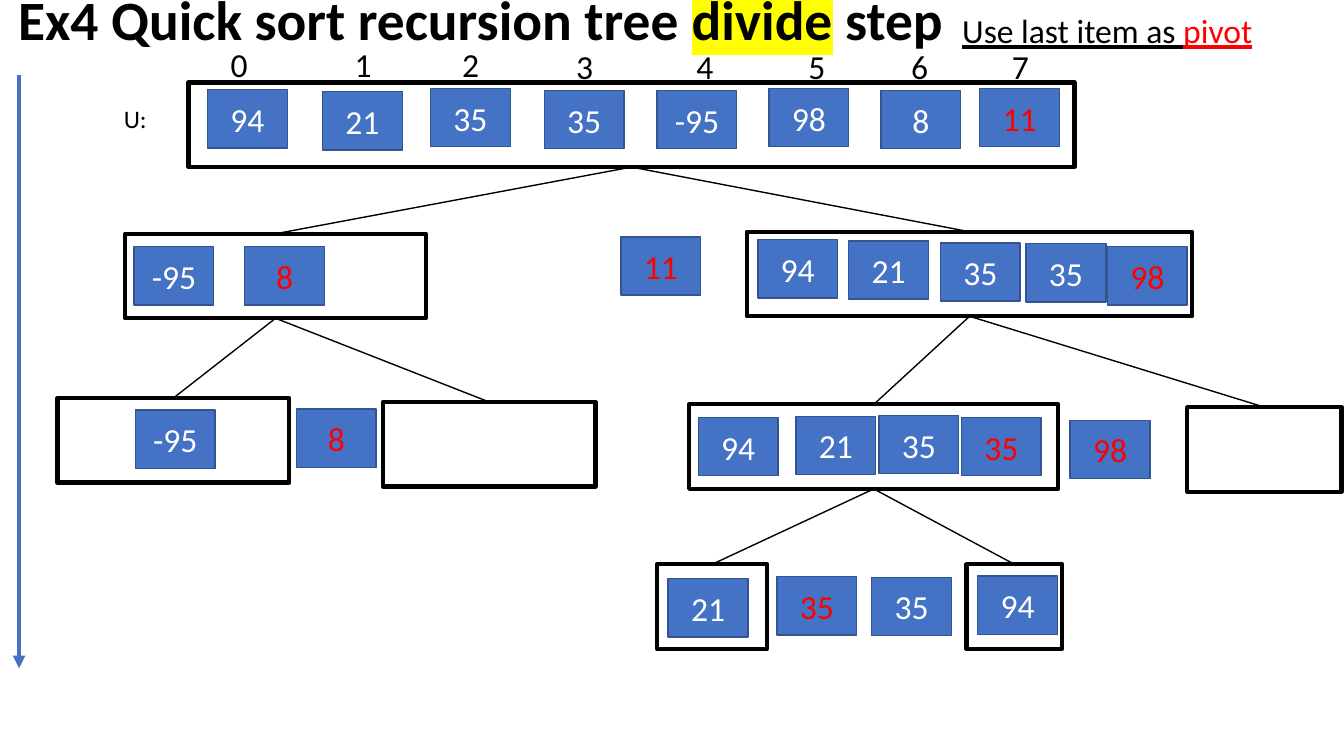
from lxml import etree
from pptx import Presentation
from pptx.dml.color import RGBColor
from pptx.enum.shapes import MSO_CONNECTOR, MSO_SHAPE
from pptx.enum.text import MSO_ANCHOR, MSO_AUTO_SIZE, PP_ALIGN
from pptx.oxml.ns import qn
from pptx.util import Cm, Pt

RECT, STRAIGHT = MSO_SHAPE.RECTANGLE, MSO_CONNECTOR.STRAIGHT
MIDDLE, CENTER, LEFT = MSO_ANCHOR.MIDDLE, PP_ALIGN.CENTER, PP_ALIGN.LEFT
NO_FIT = MSO_AUTO_SIZE.NONE

FONT = "Calibri"
BLACK, WHITE, RED = "000000", "FFFFFF", "FF0000"
BLUE, DARK_BLUE, YELLOW = "4472C4", "325491", "FFFF00"
TILE_W, TILE_H, NODE_H = 2.01, 1.47, 2.13

# Index labels above the root: (left, top)
INDEXES = [(5.56, 0.99), (8.69, 0.99), (11.4, 0.97), (14.27, 1.02),
           (17.3, 1.04), (20.12, 1.04), (22.71, 1.02), (25.25, 1.02)]

# Nodes: name -> (parent, left, top, width, tiles); a tile is (text, dx, dy, colour)
NODES = {
    "root": (None, 4.75, 2.08, 22.33, [
        ("94", 0.48, 0.18, WHITE), ("21", 3.38, 0.23, WHITE),
        ("35", 6.1, 0.15, WHITE), ("35", 8.97, 0.2, WHITE),
        ("-95", 11.81, 0.2, WHITE), ("98", 14.63, 0.15, WHITE),
        ("8", 17.45, 0.2, WHITE), ("11", 19.94, 0.15, RED)]),
    "low": ("root", 3.15, 5.89, 7.59, [
        ("-95", 0.23, 0.33, WHITE), ("8", 3.02, 0.33, RED)]),
    "high": ("root", 18.82, 5.84, 11.23, [
        ("94", 0.28, 0.2, WHITE), ("21", 2.57, 0.23, WHITE),
        ("35", 4.88, 0.28, WHITE), ("35", 7.04, 0.3, WHITE),
        ("98", 9.09, 0.38, RED)]),
    "low_low": ("low", 1.45, 10.03, 5.84, [("-95", 1.96, 0.3, WHITE)]),
    "low_high": ("low", 9.65, 10.13, 5.36, []),
    "high_low": ("high", 17.37, 10.19, 9.3, [
        ("94", 0.23, 0.33, WHITE), ("21", 2.69, 0.3, WHITE),
        ("35", 4.78, 0.28, WHITE), ("35", 6.86, 0.33, RED)]),
    "high_high": ("high", 29.92, 10.26, 3.89, []),
    "leaf_low": ("high_low", 16.56, 14.22, 2.77, [("21", 0.28, 0.36, WHITE)]),
    "leaf_high": ("high_low", 24.36, 14.22, 2.41, [("94", 0.28, 0.3, WHITE)]),
}

# Items already in place between two nodes: (text, left, top, colour)
PLACED = [("11", 15.65, 5.97, RED), ("8", 7.47, 10.31, RED),
          ("98", 26.97, 10.59, RED), ("35", 19.58, 14.53, RED),
          ("35", 21.97, 14.55, WHITE)]


def rgb(color):
    return RGBColor.from_string(color)


def add_run(p, text, size, color, bold=False, underline=False):
    r = p.add_run()
    r.text = text
    r.font.name, r.font.size = FONT, Pt(size)
    r.font.bold, r.font.underline = bold, underline
    r.font.color.rgb = rgb(color)
    return r


def highlight(r, color):
    mark = etree.Element(qn("a:highlight"))
    etree.SubElement(mark, qn("a:srgbClr"), val=color)
    r.font.fill._xPr.find(qn("a:solidFill")).addnext(mark)


def add_text(s, x, y, w, h, runs, size, underline=False, wrap=True):
    tf = s.shapes.add_textbox(Cm(x), Cm(y), Cm(w), Cm(h)).text_frame
    tf.word_wrap = wrap
    for text, color in runs:
        add_run(tf.paragraphs[0], text, size, color, underline=underline)


def add_rect(s, x, y, w, h, line, width):
    sp = s.shapes.add_shape(RECT, Cm(x), Cm(y), Cm(w), Cm(h))
    sp.shadow.inherit = False
    sp.fill.background()
    sp.line.color.rgb, sp.line.width = rgb(line), Pt(width)
    return sp


def add_line(s, x1, y1, x2, y2, color, width):
    c = s.shapes.add_connector(STRAIGHT, Cm(x1), Cm(y1), Cm(x2), Cm(y2))
    c.line.color.rgb, c.line.width = rgb(color), Pt(width)
    etree.SubElement(c._element.spPr, qn("a:effectLst"))
    return c


def add_tile(s, x, y, text, color):
    sp = add_rect(s, x, y, TILE_W, TILE_H, DARK_BLUE, 1)
    sp.fill.solid()
    sp.fill.fore_color.rgb = rgb(BLUE)
    tf = sp.text_frame
    tf.vertical_anchor = MIDDLE
    p = tf.paragraphs[0]
    p.alignment = CENTER
    add_run(p, text, 24, color)


def add_header(s, x, y, w, h):
    title = s.shapes.title
    title.left, title.top, title.width, title.height = Cm(x), Cm(y), Cm(w), Cm(h)
    tf = title.text_frame
    tf.auto_size, tf.vertical_anchor, tf.word_wrap = NO_FIT, MIDDLE, True
    p = tf.paragraphs[0]
    p.alignment, p.line_spacing = LEFT, 0.9
    add_run(p, "Ex4 Quick sort recursion tree ", 39.6, BLACK, bold=True)
    highlight(add_run(p, "divide", 39.6, BLACK, bold=True), YELLOW)
    add_run(p, " step", 39.6, BLACK, bold=True)
    # Pivot rule to the right of the title
    add_text(s, x + 23.8, y + 0.18, 7.87, 1.27,
             [("Use last item as ", BLACK), ("pivot", RED)], 24,
             underline=True, wrap=False)


def add_node(s, x, y, w, tiles):
    add_rect(s, x, y, w, NODE_H, BLACK, 3)
    for text, dx, dy, color in tiles:
        add_tile(s, x + dx, y + dy, text, color)


def add_tree(s):
    # Edges run from the bottom centre of a parent to the top centre of its child
    for parent, x, y, w, tiles in NODES.values():
        if parent:
            _, px, py, pw, _ = NODES[parent]
            add_line(s, px + pw / 2, py + NODE_H, x + w / 2, y, BLACK, 1)
        add_node(s, x, y, w, tiles)
    for text, x, y, color in PLACED:
        add_tile(s, x, y, text, color)


def add_labels(s):
    add_text(s, 2.87, 2.49, 1.63, 1.02, [("U:", BLACK)], 18)
    for i, (x, y) in enumerate(INDEXES):
        add_text(s, x, y, 0.53, 1.27, [(str(i), BLACK)], 24)


def add_depth_arrow(s, x, y, h):
    arrow = add_line(s, x, y, x, y + h, BLUE, 3)
    etree.SubElement(arrow.line._get_or_add_ln(), qn("a:tailEnd"), type="triangle")


def main():
    prs = Presentation()
    prs.slide_width, prs.slide_height = Cm(33.87), Cm(19.05)
    s = prs.slides.add_slide(prs.slide_layouts[5])
    add_header(s, 0.2, -0.05, 25.3, 1.22)
    add_labels(s)
    add_tree(s)
    add_depth_arrow(s, 0.48, 1.9, 14.94)
    prs.save("out.pptx")


if __name__ == "__main__":
    main()
